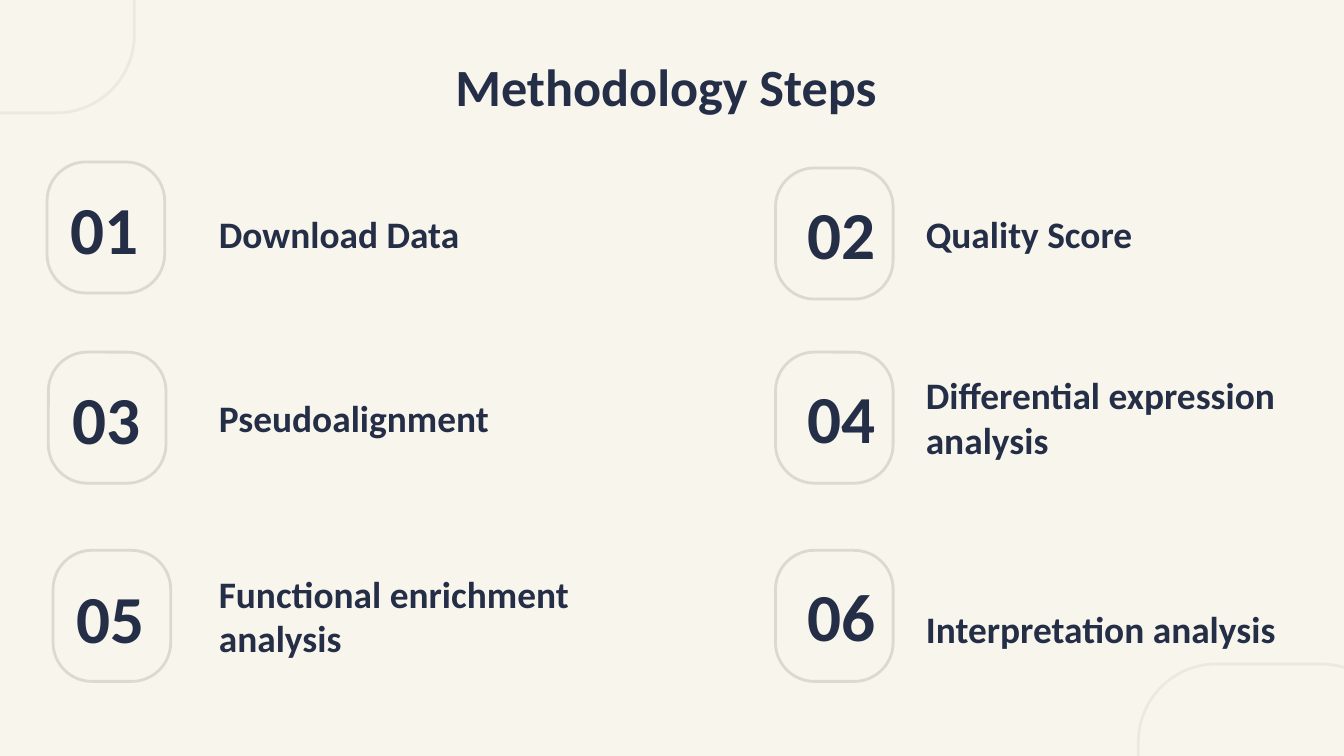
from dataclasses import dataclass
from pptx import Presentation
from pptx import util as u
from pptx.dml.color import RGBColor
from pptx.enum import shapes, text


@dataclass(frozen=True)
class Theme:
    back: str = "F8F5EC"
    ink: str = "252E47"
    edge: str = "DADACE"
    faint: str = "ECE9E1"
    face: str = "Calibri"
    head: int = 28
    num: int = 36
    label: int = 20
    line: float = 1.5


T = Theme()
# Square grid: 100 columns by 56.25 rows
COLS, ROWS = 100, 56.25
UNIT = u.Inches(0.1)
MID, LEFT = text.PP_ALIGN.CENTER, text.PP_ALIGN.LEFT

# Badge size, number box size, and number offset in each column
BADGE, NUM = (8.75, 9.75), (7.7, 7.6)
SHIFT = ((0.45, 1.1), (1.05, 1))
LABEL_X = (15.3, 67.9)
# Number, badge left and top, label, label top and width; read row by row
STEPS = (
    ("01", 3.5, 12.05, "Download Data", 14.5, 25.2),
    ("02", 57.7, 12.5, "Quality Score", 14.5, 25.2),
    ("03", 3.6, 26.2, "Pseudoalignment", 28.2, 26.8),
    ("04", 57.7, 26.2, "Differential expression analysis", 28.15, 29.5),
    ("05", 3.95, 40.95, "Functional enrichment analysis", 42.9, 30.5),
    ("06", 57.7, 40.95, "Interpretation analysis", 43.9, 30.5),
)


def span(box):
    return [int(n * UNIT) for n in box]


def put(obj, **vals):
    for key, val in vals.items():
        setattr(obj, key, val)


def frame(page, box, bend, tint):
    """Unfilled rounded outline in the given box."""
    item = page.shapes.add_shape(shapes.MSO_SHAPE.ROUNDED_RECTANGLE, *span(box))
    item.adjustments[0] = bend
    item.shadow.inherit = False
    item.fill.background()
    item.line.color.rgb = RGBColor.from_string(tint)
    item.line.width = u.Pt(T.line)


def write(page, box, words, size, align=LEFT):
    """Bold text, centred vertically in the given box."""
    body = page.shapes.add_textbox(*span(box)).text_frame
    pad = u.Inches(0.1)
    put(body, word_wrap=True, vertical_anchor=text.MSO_ANCHOR.MIDDLE,
        margin_left=pad, margin_right=pad, margin_top=pad, margin_bottom=pad)
    para = body.paragraphs[0]
    para.alignment = align
    run = para.add_run()
    run.text = words
    put(run.font, name=T.face, size=u.Pt(size), bold=True)
    run.font.color.rgb = RGBColor.from_string(T.ink)


def corners(page, *boxes):
    """Faint outlines running off the slide's corners."""
    for box in boxes:
        frame(page, box, 0.3, T.faint)


def badge(page, box, num, shift):
    """Framed step number."""
    frame(page, box, 0.33, T.edge)
    x, y = box[0] + shift[0], box[1] + shift[1]
    write(page, (x, y, *NUM), num, T.num, MID)


def steps(page, items):
    """Two columns of numbered steps."""
    for i, (num, x, y, label, top, wide) in enumerate(items):
        col = i % 2
        badge(page, (x, y, *BADGE), num, SHIFT[col])
        write(page, (LABEL_X[col], top, wide, 5.8), label, T.label)


def main():
    deck = Presentation()
    put(deck, slide_width=int(COLS * UNIT), slide_height=int(ROWS * UNIT))
    page = deck.slides.add_slide(deck.slide_layouts[6])
    fill = page.background.fill
    fill.solid()
    fill.fore_color.rgb = RGBColor.from_string(T.back)

    corners(page, (-9.4, -14.8, 19.4, 23.2), (84.7, 49.4, 19.4, 23.2))
    write(page, (7.4, 3.2, 84.3, 6.3), "Methodology Steps", T.head, MID)
    steps(page, STEPS)
    deck.save("out.pptx")


if __name__ == "__main__":
    main()
